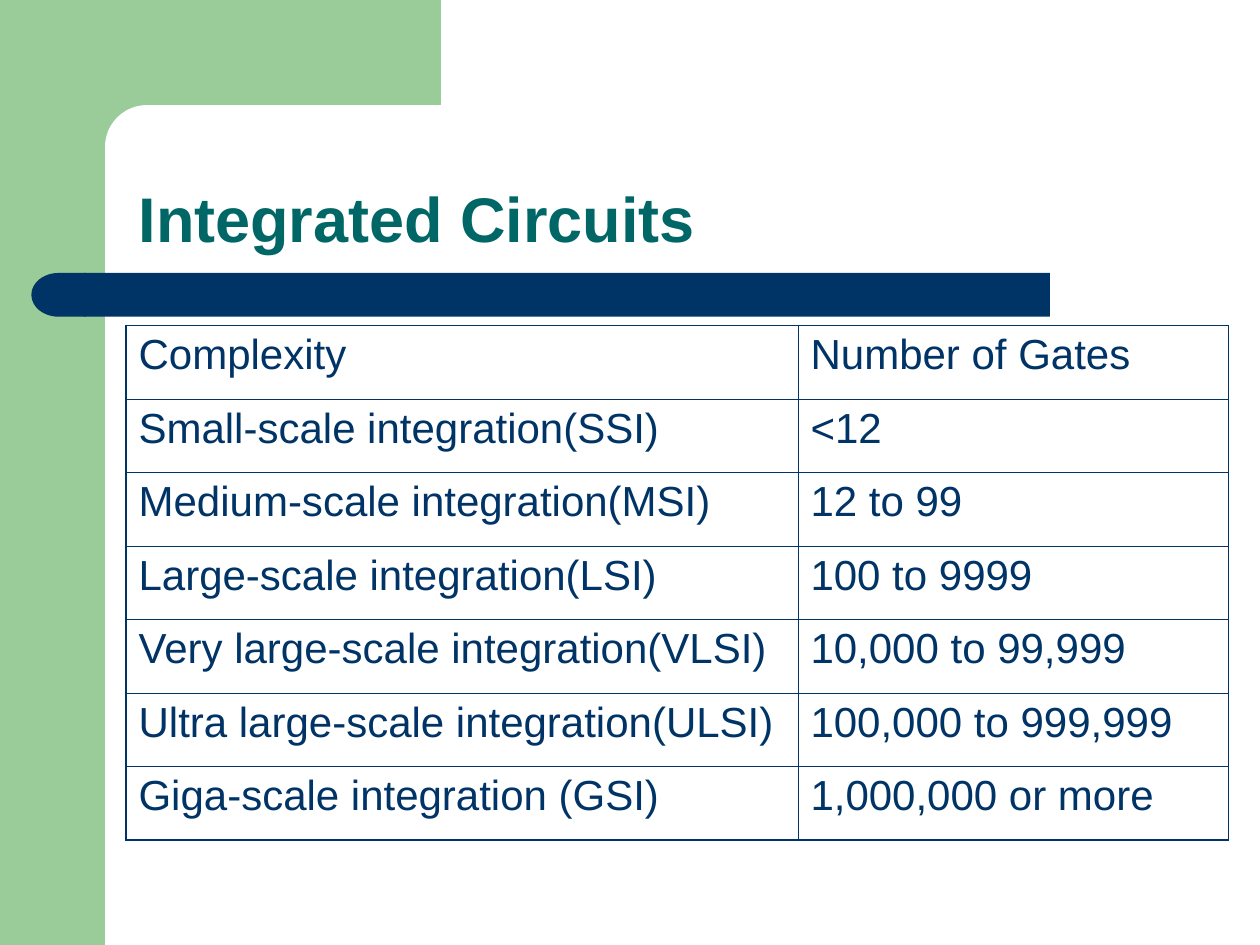
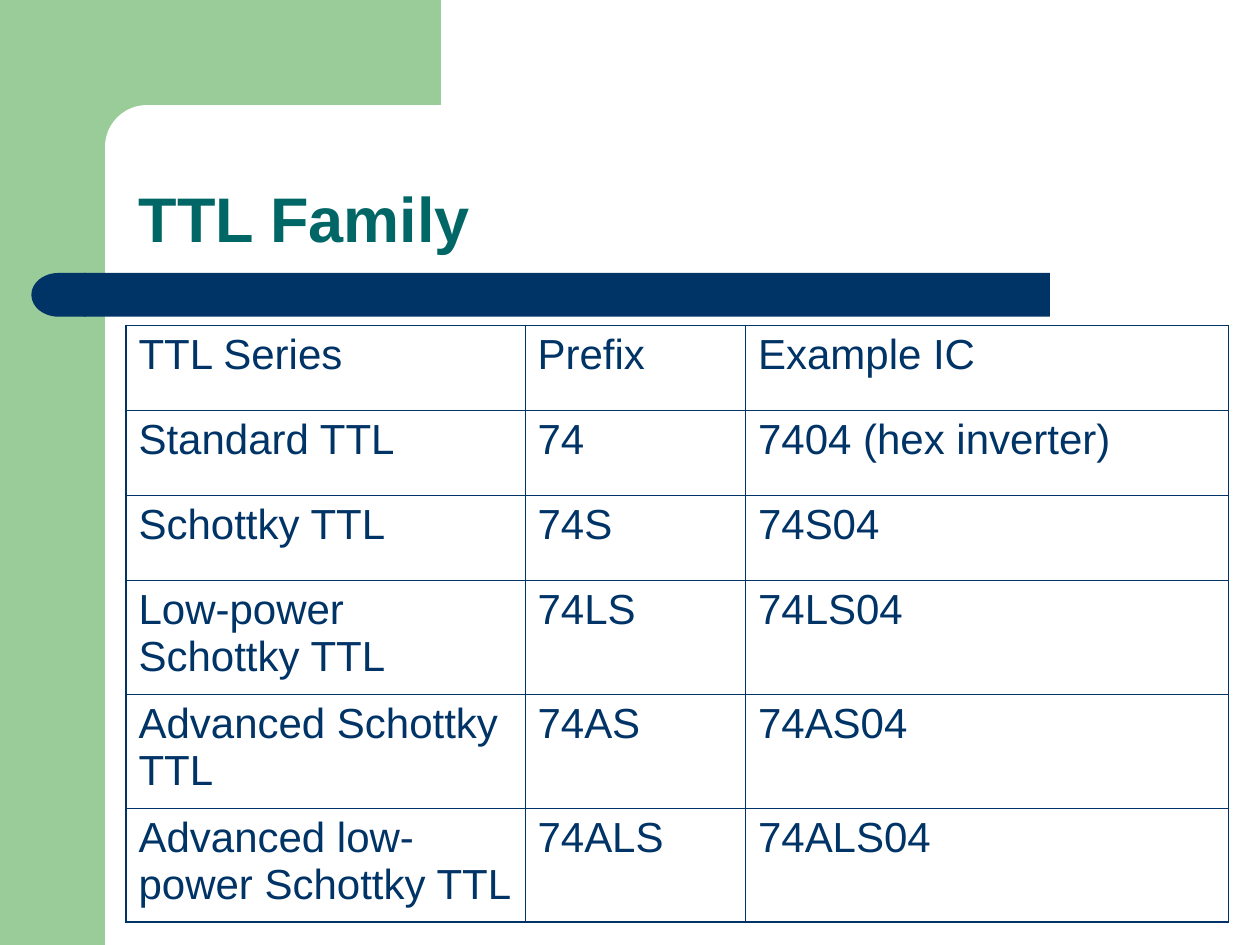
import pptx
import pptx.dml.color
import pptx.enum.shapes
import pptx.enum.text
import pptx.oxml
import pptx.oxml.ns
import pptx.util

Pt = pptx.util.Pt
MSO = pptx.enum.shapes.MSO_SHAPE
GREEN, WHITE, NAVY, TEAL = "99CC99", "FFFFFF", "003366", "006666"
FONT = "Arial"
THIN, THICK = 0.45, 1.08


def rgb(value):
    return pptx.dml.color.RGBColor.from_string(value)


def add_run(p, text, size, color, bold):
    r = p.add_run()
    r.text = text
    r.font.name = FONT
    r.font.size = Pt(size)
    r.font.bold = bold
    r.font.color.rgb = rgb(color)


bands = [
    (MSO.RECTANGLE, 0, 0, 60, 540, GREEN),
    (MSO.RECTANGLE, 54, 0, 198, 84, GREEN),
    (MSO.ROUNDED_RECTANGLE, 60, 60, 402, 48, WHITE),
    (MSO.RECTANGLE, 48, 156, 552, 25, NAVY),
    (MSO.FLOWCHART_DELAY, 18, 156, 31, 25, NAVY),
]

slides = [
    ("Integrated Circuits", [384, 246], [42] * 7, [
        ("Complexity", "Number of Gates"),
        ("Small-scale integration(SSI)", "<12"),
        ("Medium-scale integration(MSI)", "12 to 99"),
        ("Large-scale integration(LSI)", "100 to 9999"),
        ("Very large-scale integration(VLSI)", "10,000 to 99,999"),
        ("Ultra large-scale integration(ULSI)", "100,000 to 999,999"),
        ("Giga-scale integration (GSI)", "1,000,000 or more"),
    ]),
    ("TTL Family", [228, 126, 276], [48.6] * 3 + [65] * 3, [
        ("TTL Series", "Prefix", "Example IC"),
        ("Standard TTL", "74", "7404 (hex inverter)"),
        ("Schottky TTL", "74S", "74S04"),
        ("Low-power Schottky TTL", "74LS", "74LS04"),
        ("Advanced Schottky TTL", "74AS", "74AS04"),
        ("Advanced low-power Schottky TTL", "74ALS", "74ALS04"),
    ]),
]

prs = pptx.Presentation()
prs.slide_width, prs.slide_height = Pt(720), Pt(540)

for heading, widths, heights, rows in slides:
    s = prs.slides.add_slide(prs.slide_layouts[5])

    for kind, left, top, width, height, color in bands:
        sp = s.shapes.add_shape(kind, Pt(left), Pt(top), Pt(width), Pt(height))
        sp.shadow.inherit = False
        sp.fill.solid()
        sp.fill.fore_color.rgb = rgb(color)
        sp.line.fill.background()
        if kind == MSO.ROUNDED_RECTANGLE:
            sp.adjustments[0] = 0.5
        if kind == MSO.FLOWCHART_DELAY:
            sp._element.spPr.xfrm.set("flipH", "1")

    title = s.shapes.title
    s.shapes._spTree.append(title._element)
    title.left, title.top, title.width, title.height = Pt(72), Pt(60), Pt(630), Pt(90)
    tf = title.text_frame
    tf.auto_size = pptx.enum.text.MSO_AUTO_SIZE.NONE
    tf.vertical_anchor = pptx.enum.text.MSO_ANCHOR.BOTTOM
    p = tf.paragraphs[0]
    p.alignment = pptx.enum.text.PP_ALIGN.LEFT
    p.line_spacing = 0.9
    add_run(p, heading, 36, TEAL, True)

    frame = s.shapes.add_table(len(rows), len(widths), Pt(72), Pt(186),
                               Pt(sum(widths)), Pt(sum(heights)))
    table = frame.table
    table.first_row = table.horz_banding = False
    for column, width in zip(table.columns, widths):
        column.width = Pt(width)
    for row, height in zip(table.rows, heights):
        row.height = Pt(height)

    for i, texts in enumerate(rows):
        for j, text in enumerate(texts):
            cell = table.cell(i, j)
            cell.fill.background()
            add_run(cell.text_frame.paragraphs[0], text, 24, NAVY, False)
            outer_sides = [("L", j == 0), ("R", j == len(widths) - 1),
                           ("T", i == 0), ("B", i == len(rows) - 1)]
            for k, (side, outer) in enumerate(outer_sides):
                weight = Pt(THICK if outer else THIN)
                cell._tc.get_or_add_tcPr().insert(k, pptx.oxml.parse_xml(
                    f'<a:ln{side} {pptx.oxml.ns.nsdecls("a")} w="{weight}">'
                    f'<a:solidFill><a:srgbClr val="{NAVY}"/></a:solidFill></a:ln{side}>'))

prs.save("out.pptx")
